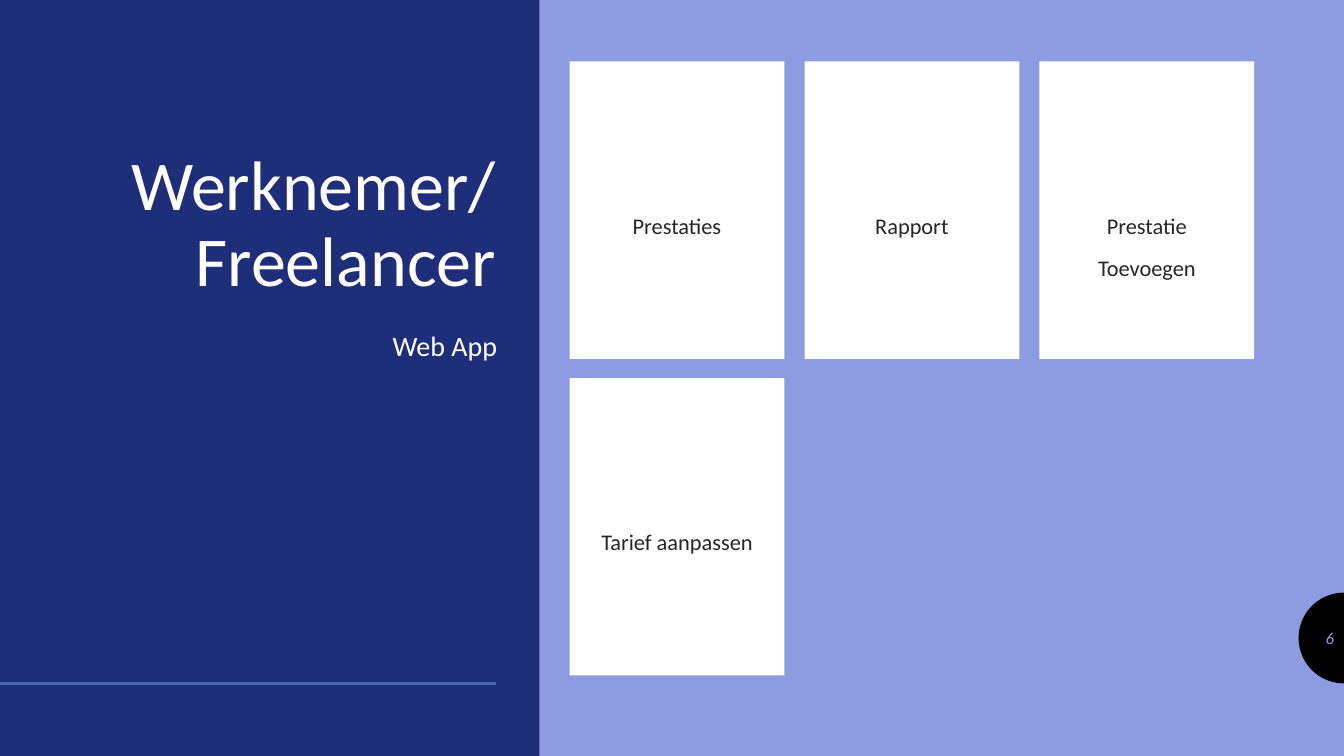
import math

from lxml import etree
from pptx import Presentation
from pptx import util as u
from pptx.dml.color import RGBColor
from pptx.enum import shapes, text
from pptx.oxml import ns

COLOURS = {
    "background": "8D9BE1",
    "panel": "1F2E79",
    "rule": "4A66AC",
    "white": "FFFFFF",
    "ink": "262626",
    "black": "000000",
}
SLIDE_W, SLIDE_H = 13.33, 7.5
CARDS = [["Prestaties"], ["Rapport"], ["Prestatie", "Toevoegen"], ["Tarief aanpassen"]]
COLUMNS = 3
ALIGN = text.PP_ALIGN
ANCHOR = text.MSO_ANCHOR

TITLE = {"size": 50, "colour": "white", "align": ALIGN.RIGHT, "spacing": 0.9}
SUBTITLE = {"size": 20, "colour": "white", "align": ALIGN.RIGHT, "spacing": 1.12}
CARD = {"size": 16, "colour": "ink", "align": ALIGN.CENTER, "spacing": 1.12}
NUMBER = {"size": 12, "colour": "background", "align": ALIGN.RIGHT, "spacing": 1.0,
          "italic": True}


def rgb(name):
    return RGBColor.from_string(COLOURS[name])


def inches(*lengths):
    return [u.Inches(length) for length in lengths]


def paint(shape, colour):
    shape.shadow.inherit = False
    shape.fill.solid()
    shape.fill.fore_color.rgb = rgb(colour)
    shape.line.fill.background()


def add_rectangle(slide, box, colour):
    rectangle = slide.shapes.add_shape(shapes.MSO_SHAPE.RECTANGLE, *inches(*box))
    paint(rectangle, colour)
    return rectangle


def write(frame, lines, style, **frame_format):
    for name, value in {"word_wrap": True, **frame_format}.items():
        setattr(frame, name, value)
    for index, line in enumerate(lines):
        paragraph = frame.paragraphs[0] if index == 0 else frame.add_paragraph()
        paragraph_format = {
            "text": line,
            "alignment": style["align"],
            "line_spacing": style["spacing"],
            "space_before": u.Pt(9 if index else 0),
        }
        for name, value in paragraph_format.items():
            setattr(paragraph, name, value)
        font_format = {
            "name": "Calibri",
            "size": u.Pt(style["size"]),
            "italic": style.get("italic", False),
        }
        for name, value in font_format.items():
            setattr(paragraph.font, name, value)
        paragraph.font.color.rgb = rgb(style["colour"])


def add_text(slide, box, lines, style, **frame_format):
    frame = slide.shapes.add_textbox(*inches(*box)).text_frame
    write(frame, lines, style, **frame_format)


def add_title_panel(slide, left, top, width, height):
    add_rectangle(slide, (left, top, width, height), "panel")
    rule_y = top + 6.78
    rule = slide.shapes.add_connector(
        shapes.MSO_CONNECTOR.STRAIGHT, *inches(left, rule_y, left + 4.92, rule_y))
    rule.line.color.rgb = rgb("rule")
    rule.line.width = u.Pt(2)
    etree.SubElement(rule._element.spPr, ns.qn("a:effectLst"))
    add_text(slide, (left + 0.83, top + 0.61, 4.19, 2.43), ["Werknemer/ Freelancer"],
             TITLE, vertical_anchor=ANCHOR.BOTTOM)
    add_text(slide, (left + 0.83, top + 3.17, 4.2, 3.12), ["Web App"],
             SUBTITLE, vertical_anchor=ANCHOR.TOP)


def add_cards(slide, left, top, width, height):
    gap_x, gap_y = 0.2, 0.19
    card_w = (width - gap_x * (COLUMNS - 1)) / COLUMNS
    card_h = (height - gap_y) / 2
    for index, lines in enumerate(CARDS):
        row, column = divmod(index, COLUMNS)
        box = (left + column * (card_w + gap_x), top + row * (card_h + gap_y),
               card_w, card_h)
        card = add_rectangle(slide, box, "white")
        write(card.text_frame, lines, CARD, vertical_anchor=ANCHOR.TOP,
              margin_left=0, margin_right=0, margin_bottom=0,
              margin_top=u.Inches(1.46))


def add_page_badge(slide, left, top, width, height):
    centre_x, centre_y = left + width, top + height / 2
    steps = 48
    arc = []
    for step in range(steps + 1):
        angle = math.pi * step / steps
        arc.append(inches(centre_x - width * math.sin(angle),
                          centre_y - height / 2 * math.cos(angle)))
    builder = slide.shapes.build_freeform(*arc[0])
    builder.add_line_segments(arc[1:], close=True)
    paint(builder.convert_to_shape(), "black")
    add_text(slide, (left, top + 0.25, width, 0.4), ["6"], NUMBER,
             vertical_anchor=ANCHOR.MIDDLE)


def main():
    deck = Presentation()
    deck.slide_width, deck.slide_height = inches(SLIDE_W, SLIDE_H)
    slide = deck.slides.add_slide(deck.slide_layouts[6])
    slide.background.fill.solid()
    slide.background.fill.fore_color.rgb = rgb("background")
    add_title_panel(slide, 0, 0, 5.35, SLIDE_H)
    add_cards(slide, 5.65, 0.61, 6.79, 6.09)
    add_page_badge(slide, SLIDE_W - 0.45, 5.88, 0.45, 0.9)
    deck.save("out.pptx")


if __name__ == "__main__":
    main()
